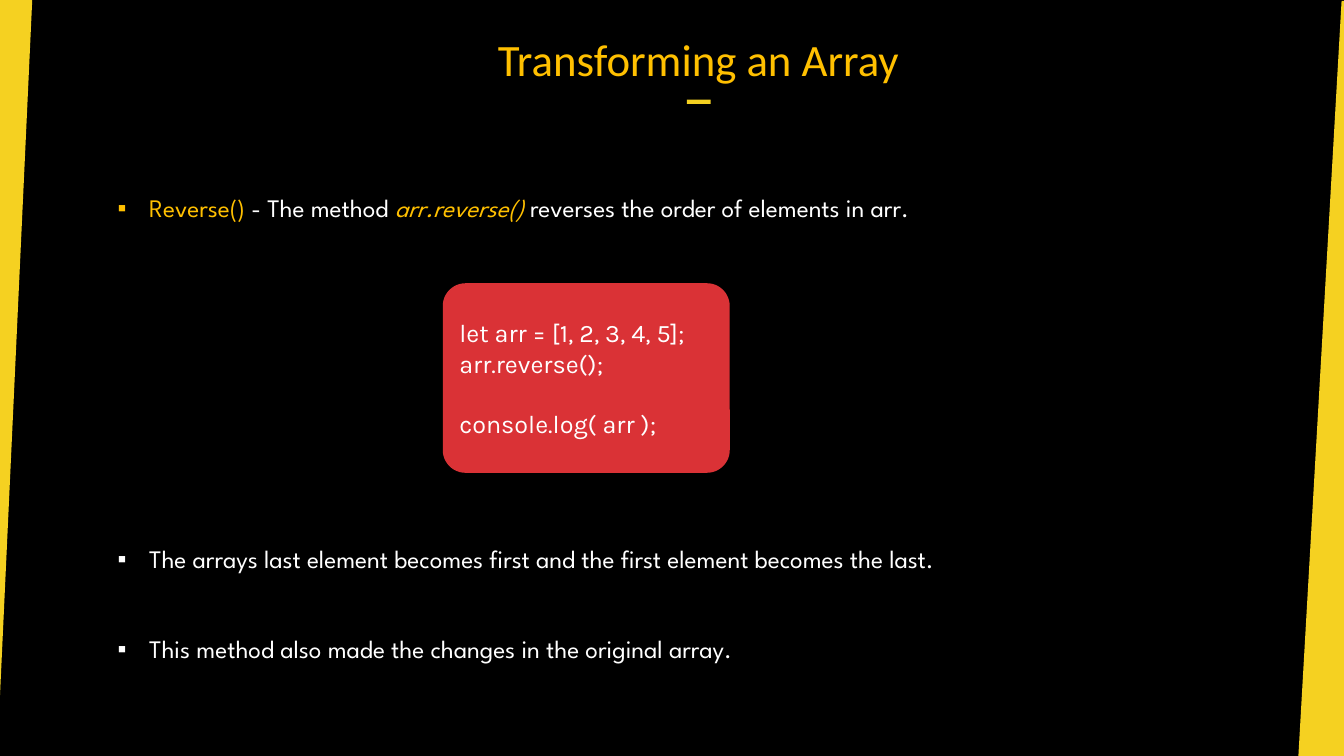
from dataclasses import dataclass

from lxml.etree import SubElement
from pptx import Presentation
from pptx.dml.color import RGBColor
from pptx.enum.shapes import MSO_SHAPE
from pptx.enum.text import MSO_ANCHOR, PP_ALIGN
from pptx.oxml.ns import qn
from pptx.util import Pt

YELLOW, GOLD, RED = "F5D121", "FFC000", "DA3236"
WHITE, BLACK = "FFFFFF", "000000"
BODY_FONT, CODE_FONT, TITLE_FONT = "League Spartan", "Karla", "Calibri"
BULLET_INDENT = 22.5


@dataclass
class Run:
    text: str
    color: str = WHITE
    italic: bool = False


@dataclass
class Para:
    runs: list[Run]
    space_before: float = 0
    bullet: bool = False
    align: PP_ALIGN = PP_ALIGN.LEFT


@dataclass
class TextBox:
    left: float
    top: float
    width: float
    height: float
    paras: list[Para]
    font: str = BODY_FONT
    size: float = 18
    anchor: MSO_ANCHOR = MSO_ANCHOR.TOP
    bottom_inset: float = 3.6


def rgb(value: str) -> RGBColor:
    return RGBColor.from_string(value)


def paint(sp, color: str) -> None:
    sp.shadow.inherit = False
    sp.fill.solid()
    sp.fill.fore_color.rgb = rgb(color)
    sp.line.fill.background()


def add_band(s, points: list[tuple[float, float]]) -> None:
    corners = [(Pt(x), Pt(y)) for x, y in points]
    builder = s.shapes.build_freeform(*corners[0])
    builder.add_line_segments(corners[1:], close=True)
    paint(builder.convert_to_shape(), YELLOW)


def add_bullet(p) -> None:
    pPr = p._p.get_or_add_pPr()
    pPr.set("marL", str(Pt(BULLET_INDENT)))
    pPr.set("indent", str(-Pt(BULLET_INDENT)))
    SubElement(pPr, qn("a:buFont"), typeface="Arial")
    SubElement(pPr, qn("a:buChar"), char="▪")


def write_paras(tf, paras: list[Para], font: str, size: float) -> None:
    for i, para in enumerate(paras):
        p = tf.add_paragraph() if i else tf.paragraphs[0]
        p.alignment = para.align
        p.space_before = Pt(para.space_before)
        if para.bullet:
            add_bullet(p)
        for run in para.runs:
            r = p.add_run()
            r.text = run.text
            r.font.name = font
            r.font.size = Pt(size)
            r.font.italic = run.italic
            r.font.color.rgb = rgb(run.color)


def add_text(s, box: TextBox) -> None:
    sp = s.shapes.add_textbox(Pt(box.left), Pt(box.top), Pt(box.width), Pt(box.height))
    tf = sp.text_frame
    tf.word_wrap = True
    tf.vertical_anchor = box.anchor
    tf.margin_bottom = Pt(box.bottom_inset)
    write_paras(tf, box.paras, box.font, box.size)


def add_code_card(s, paras: list[Para]) -> None:
    sp = s.shapes.add_shape(MSO_SHAPE.ROUNDED_RECTANGLE, Pt(316.3), Pt(202.3), Pt(205), Pt(135.4))
    sp.adjustments[0] = 0.12
    paint(sp, RED)
    tf = sp.text_frame
    tf.word_wrap = True
    tf.vertical_anchor = MSO_ANCHOR.MIDDLE
    write_paras(tf, paras, CODE_FONT, 18)


BANDS = [
    [(-2, 540), (-4, 540), (-4, 0), (23, 0)],
    [(958.3, 0.7), (960, 0.7), (960, 540.7), (927.4, 540.7)],
]

TITLE = TextBox(
    247.7, 7.2, 502.6, 54,
    [Para([Run("Transforming an Array", GOLD)], align=PP_ALIGN.CENTER)],
    TITLE_FONT, 32, MSO_ANCHOR.BOTTOM, 0,
)

CODE = [
    Para([Run("let arr = [1, 2, 3, 4, 5];")]),
    Para([Run("arr.reverse();")]),
    Para([Run("console.log( arr );")], space_before=21.5),
]

METHOD = TextBox(77, 133.9, 757.4, 28.8, [
    Para([
        Run("Reverse() ", GOLD),
        Run("- The method "),
        Run("arr.reverse() ", GOLD, True),
        Run("reverses the order of elements in arr."),
    ], bullet=True),
])

EFFECTS = TextBox(77, 384.5, 803.5, 94.3, [
    Para([Run("The arrays last element becomes first and the first element becomes the last.")],
         bullet=True),
    Para([Run("This method also made the changes in the original array.")],
         space_before=43, bullet=True),
])


def main() -> None:
    prs = Presentation()
    prs.slide_width, prs.slide_height = Pt(960), Pt(540)
    s = prs.slides.add_slide(prs.slide_layouts[6])
    s.background.fill.solid()
    s.background.fill.fore_color.rgb = rgb(BLACK)

    # Slanted side bands
    for band in BANDS:
        add_band(s, band)

    # Title and the dash below it
    dash = s.shapes.add_shape(MSO_SHAPE.RECTANGLE, Pt(490.7), Pt(71.2), Pt(17), Pt(3))
    paint(dash, YELLOW)
    add_text(s, TITLE)

    # Code example and explanations
    add_code_card(s, CODE)
    for box in (METHOD, EFFECTS):
        add_text(s, box)

    prs.save("out.pptx")


if __name__ == "__main__":
    main()
